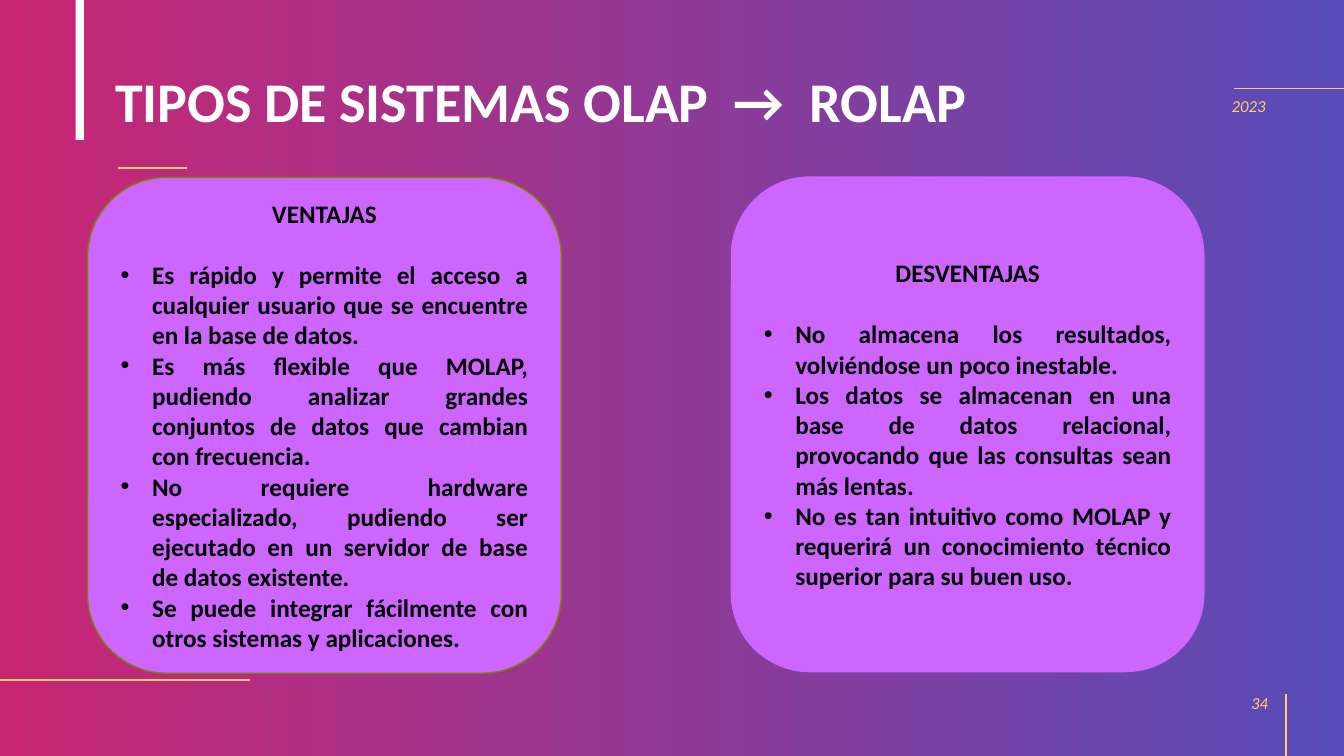
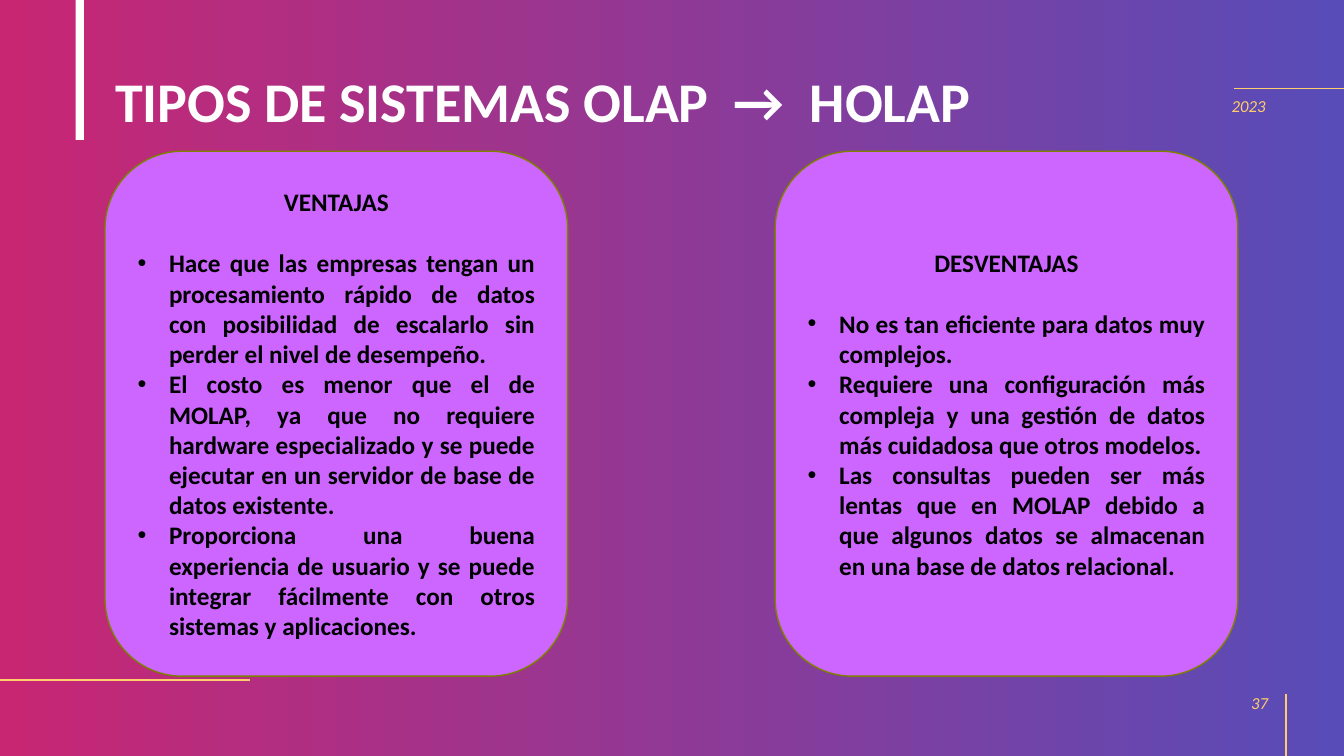
import pptx
import pptx.dml.color
import pptx.enum.shapes
import pptx.enum.text
import pptx.oxml.ns
import pptx.util
from lxml import etree

Pt = pptx.util.Pt
ALIGN = pptx.enum.text.PP_ALIGN
ANCHOR = pptx.enum.text.MSO_ANCHOR
SHAPE = pptx.enum.shapes.MSO_SHAPE

WIDTH, HEIGHT = 960, 540
WHITE, BLACK, GOLD = "FFFFFF", "000000", "FFCD6B"
PINK, INDIGO = "C82673", "584CB8"
VIOLET, OLIVE = "CC66FF", "7F8000"
BULLET_INDENT = 22.5

TITLE_FONT = {"name": "Calibri", "size": Pt(40), "bold": True, "italic": False}
CARD_FONT = {"name": "Calibri", "size": Pt(18), "bold": True, "italic": False}
LABEL_FONT = {"name": "Calibri", "size": Pt(12), "bold": False, "italic": True}

TITLE_PARAGRAPH = {"alignment": ALIGN.LEFT, "line_spacing": 0.9, "space_before": Pt(0)}
YEAR_PARAGRAPH = TITLE_PARAGRAPH
NUMBER_PARAGRAPH = {"alignment": ALIGN.RIGHT}
HEADING_PARAGRAPH = {"alignment": ALIGN.CENTER, "space_after": Pt(22)}
ITEM_PARAGRAPH = {"alignment": ALIGN.JUSTIFY}

SLIDES = [
    {
        "title": "TIPOS DE SISTEMAS OLAP  →  ROLAP",
        "number": "34",
        "underline": True,
        "cards": [
            {
                "box": (62.6, 126.7, 338.4, 354.2),
                "outline": OLIVE,
                "heading": "VENTAJAS",
                "items": [
                    "Es rápido y permite el acceso a cualquier usuario que se encuentre en la base de datos.",
                    "Es más flexible que MOLAP, pudiendo analizar grandes conjuntos de datos que cambian "
                    "con frecuencia.",
                    "No requiere hardware especializado, pudiendo ser ejecutado en un servidor de base "
                    "de datos existente.",
                    "Se puede integrar fácilmente con otros sistemas y aplicaciones.",
                ],
            },
            {
                "box": (522, 126, 338.4, 354.2),
                "outline": None,
                "heading": "DESVENTAJAS",
                "items": [
                    "No almacena los resultados, volviéndose un poco inestable.",
                    "Los datos se almacenan en una base de datos relacional, provocando que las "
                    "consultas sean más lentas.",
                    "No es tan intuitivo como MOLAP y requerirá un conocimiento técnico superior "
                    "para su buen uso.",
                ],
            },
        ],
    },
    {
        "title": "TIPOS DE SISTEMAS OLAP  →  HOLAP",
        "number": "37",
        "underline": False,
        "cards": [
            {
                "box": (75, 108, 330.5, 375),
                "outline": OLIVE,
                "heading": "VENTAJAS",
                "items": [
                    "Hace que las empresas tengan un procesamiento rápido de datos con posibilidad "
                    "de escalarlo sin perder el nivel de desempeño.",
                    "El costo es menor que el de MOLAP, ya que no requiere hardware especializado y "
                    "se puede ejecutar en un servidor de base de datos existente.",
                    "Proporciona una buena experiencia de usuario y se puede integrar fácilmente con "
                    "otros sistemas y aplicaciones.",
                ],
            },
            {
                "box": (553.7, 108, 330.5, 375),
                "outline": OLIVE,
                "heading": "DESVENTAJAS",
                "items": [
                    "No es tan eficiente para datos muy complejos.",
                    "Requiere una configuración más compleja y una gestión de datos más cuidadosa "
                    "que otros modelos.",
                    "Las consultas pueden ser más lentas que en MOLAP debido a que algunos datos se "
                    "almacenan en una base de datos relacional.",
                ],
            },
        ],
    },
]


def paint(color_format, hex_color):
    color_format.rgb = pptx.dml.color.RGBColor.from_string(hex_color)


def fill_solid(fill, hex_color):
    fill.solid()
    paint(fill.fore_color, hex_color)


def set_values(target, values):
    for name, value in values.items():
        setattr(target, name, value)


def set_paragraph(paragraph, text, layout, font, color):
    paragraph.text = text
    set_values(paragraph, layout)
    set_values(paragraph.font, font)
    paint(paragraph.font.color, color)


def set_frame(frame, anchor):
    set_values(frame, {
        "word_wrap": True,
        "auto_size": pptx.enum.text.MSO_AUTO_SIZE.NONE,
        "vertical_anchor": anchor,
    })


def place(shape, left, top, width, height):
    set_values(shape, {"left": Pt(left), "top": Pt(top),
                       "width": Pt(width), "height": Pt(height)})


def add_bullet(paragraph):
    properties = paragraph._p.get_or_add_pPr()
    properties.set("marL", str(Pt(BULLET_INDENT)))
    properties.set("indent", str(-Pt(BULLET_INDENT)))
    for tag, attribute, value in (("a:buFont", "typeface", "Arial"), ("a:buChar", "char", "•")):
        etree.SubElement(properties, pptx.oxml.ns.qn(tag)).set(attribute, value)


def add_block(slide, preset, box, color, outline=None):
    block = slide.shapes.add_shape(preset, *map(Pt, box))
    block.shadow.inherit = False
    fill_solid(block.fill, color)
    if outline:
        fill_solid(block.line.fill, outline)
        block.line.width = Pt(1)
    else:
        block.line.fill.background()
    return block


def add_rule(slide, start, end, weight=1.5):
    rule = slide.shapes.add_connector(
        pptx.enum.shapes.MSO_CONNECTOR.STRAIGHT, *map(Pt, start + end))
    fill_solid(rule.line.fill, GOLD)
    rule.line.width = Pt(weight)
    etree.SubElement(rule._element.spPr, pptx.oxml.ns.qn("a:effectLst"))


def set_background(master):
    fill = master.background.fill
    fill.gradient()
    fill.gradient_angle = 0
    for stop, color in zip(fill.gradient_stops, (PINK, INDIGO)):
        paint(stop.color, color)


def add_frame_lines(slide, underline):
    """Add the white bar and the gold rules around the content."""
    add_block(slide, SHAPE.RECTANGLE, (54, 0, 6, 100), WHITE)
    if underline:
        add_rule(slide, (84.2, 120.2), (133.9, 120.2))
    add_rule(slide, (881.3, 63.4), (WIDTH, 63.4), 0.5)
    add_rule(slide, (0, 486), (178.6, 486))
    add_rule(slide, (918.7, HEIGHT), (918.7, 496))


def set_title_and_year(slide, title_text):
    title, year = slide.placeholders
    for holder, box, anchor, content in (
        (title, (75, 22.3, 784.8, 104.4), ANCHOR.MIDDLE,
         (title_text, TITLE_PARAGRAPH, TITLE_FONT, WHITE)),
        (year, (872.6, 66.2, 48.2, 25.9), ANCHOR.TOP,
         ("2023", YEAR_PARAGRAPH, LABEL_FONT, GOLD)),
    ):
        place(holder, *box)
        set_frame(holder.text_frame, anchor)
        set_paragraph(holder.text_frame.paragraphs[0], *content)


def add_number(slide, number):
    frame = slide.shapes.add_textbox(Pt(697), Pt(487.4), Pt(216), Pt(28.8)).text_frame
    set_frame(frame, ANCHOR.MIDDLE)
    set_paragraph(frame.paragraphs[0], number, NUMBER_PARAGRAPH, LABEL_FONT, GOLD)


def add_card(slide, box, outline, heading, items):
    frame = add_block(slide, SHAPE.ROUNDED_RECTANGLE, box, VIOLET, outline).text_frame
    set_frame(frame, ANCHOR.MIDDLE)
    set_paragraph(frame.paragraphs[0], heading, HEADING_PARAGRAPH, CARD_FONT, BLACK)
    for item in items:
        paragraph = frame.add_paragraph()
        add_bullet(paragraph)
        set_paragraph(paragraph, item, ITEM_PARAGRAPH, CARD_FONT, BLACK)


def main():
    deck = pptx.Presentation()
    deck.slide_width, deck.slide_height = Pt(WIDTH), Pt(HEIGHT)
    set_background(deck.slide_master)
    section_layout = deck.slide_layouts.get_by_name("Section Header")
    for content in SLIDES:
        slide = deck.slides.add_slide(section_layout)
        add_frame_lines(slide, content["underline"])
        set_title_and_year(slide, content["title"])
        add_number(slide, content["number"])
        for card in content["cards"]:
            add_card(slide, **card)
    deck.save("out.pptx")


if __name__ == "__main__":
    main()
